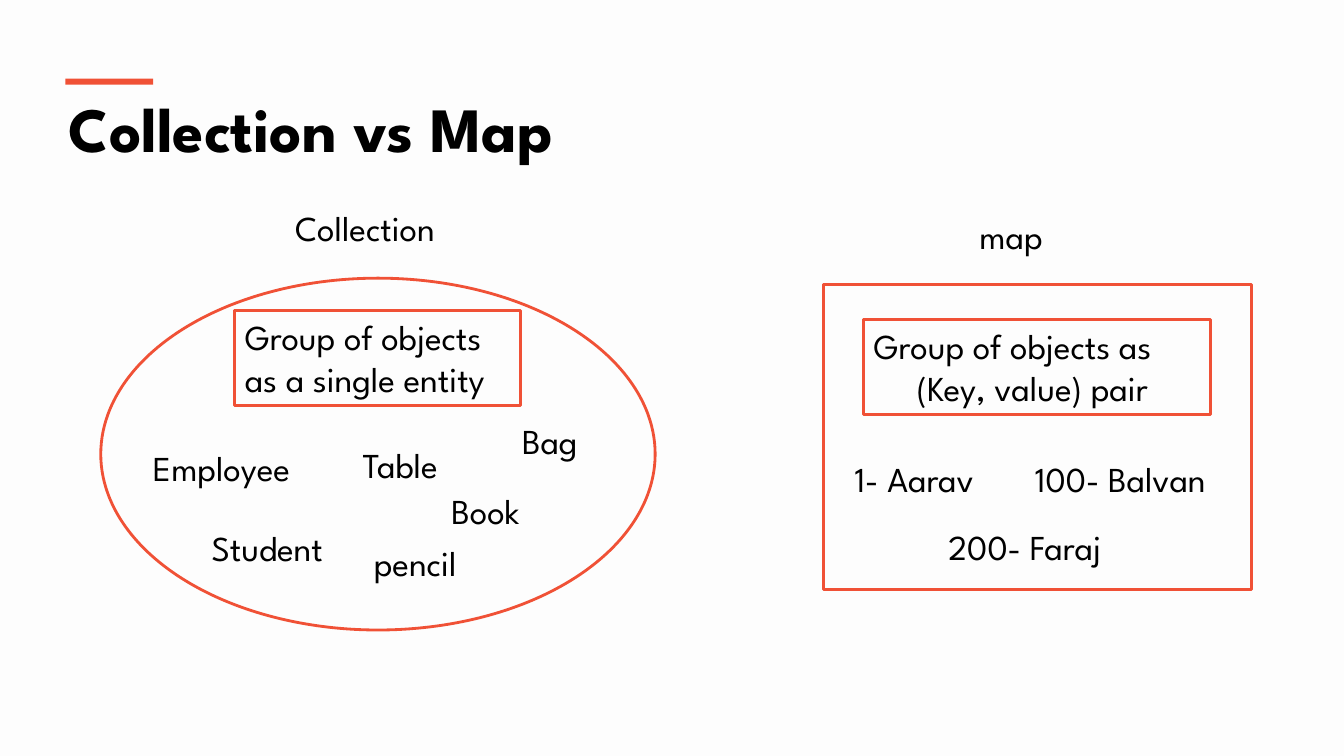
from pptx import Presentation
from pptx.dml.color import RGBColor
from pptx.enum.shapes import MSO_SHAPE
from pptx.enum.text import MSO_ANCHOR, PP_ALIGN
from pptx.util import Pt

COLORS = {"background": "FDFDFD", "accent": "F05136", "text": "000000"}
FONT = "League Spartan"
BODY_SIZE = 25
LABEL_HEIGHT = 37.4
KEY_VALUE_INDENT = 30.7

TITLE = ("Collection vs Map", (41.8, 60.5, 877, 61.9))
ACCENT_BAR = (46.8, 56.2, 62.6, 4.3)

OUTLINES = [
    (MSO_SHAPE.OVAL, (72, 198.7, 396, 251.3)),
    (MSO_SHAPE.RECTANGLE, (588.2, 203, 306, 218.2)),
]
DEFINITIONS = [
    ([("Group of objects", 0), ("as a single entity", 0)],
     (167.8, 221.8, 203.8, 67.7)),
    ([("Group of objects as", 0), ("(Key, value) pair", KEY_VALUE_INDENT)],
     (617, 228.2, 247.7, 67.7)),
]
LABELS = [
    ("Collection", 203.8, 144, 138),
    ("Student", 144, 372.2, 126),
    ("Employee", 102.2, 315.4, 138),
    ("Table", 252, 313.2, 126),
    ("pencil", 259.9, 383, 162),
    ("Book", 315.4, 346.3, 162),
    ("Bag", 365.8, 295.9, 162),
    ("map", 692.6, 149.8, 138),
    ("1- Aarav", 603.4, 323.3, 138),
    ("100- Balvan", 732.2, 323.3, 156),
    ("200- Faraj", 670.3, 371.5, 156),
]


def color(name):
    return RGBColor.from_string(COLORS[name])


def set_all(target, values):
    for name, value in values.items():
        setattr(target, name, value)


def write(shape, lines, size=BODY_SIZE, bold=False):
    frame = shape.text_frame
    set_all(frame, {"word_wrap": True, "vertical_anchor": MSO_ANCHOR.TOP})
    for index, (text, indent) in enumerate(lines):
        paragraph = frame.paragraphs[0] if index == 0 else frame.add_paragraph()
        paragraph.alignment = PP_ALIGN.LEFT
        if indent:
            properties = paragraph._p.get_or_add_pPr()
            properties.set("marL", str(Pt(indent)))
            properties.set("indent", "0")
        run = paragraph.add_run()
        run.text = text
        set_all(run.font, {"name": FONT, "size": Pt(size), "bold": bold})
        run.font.color.rgb = color("text")


def add_text(slide, text, box, **style):
    shape = slide.shapes.add_textbox(*map(Pt, box))
    write(shape, [(text, 0)], **style)


def add_outline(slide, kind, box, width):
    shape = slide.shapes.add_shape(kind, *map(Pt, box))
    shape.shadow.inherit = False
    shape.fill.background()
    shape.line.color.rgb = color("accent")
    shape.line.width = Pt(width)
    return shape


def main():
    presentation = Presentation()
    set_all(presentation, {"slide_width": Pt(960), "slide_height": Pt(540)})
    slide = presentation.slides.add_slide(presentation.slide_layouts[6])
    slide.background.fill.solid()
    slide.background.fill.fore_color.rgb = color("background")

    title, title_box = TITLE
    add_text(slide, title, title_box, size=45, bold=True)
    bar = slide.shapes.add_shape(MSO_SHAPE.RECTANGLE, *map(Pt, ACCENT_BAR))
    bar.shadow.inherit = False
    bar.fill.solid()
    bar.fill.fore_color.rgb = color("accent")
    bar.line.fill.background()

    for kind, box in OUTLINES:
        add_outline(slide, kind, box, 2)
    for lines, box in DEFINITIONS:
        write(add_outline(slide, MSO_SHAPE.RECTANGLE, box, 2.25), lines)
    for text, left, top, width in LABELS:
        add_text(slide, text, (left, top, width, LABEL_HEIGHT))

    presentation.save("out.pptx")


if __name__ == "__main__":
    main()
